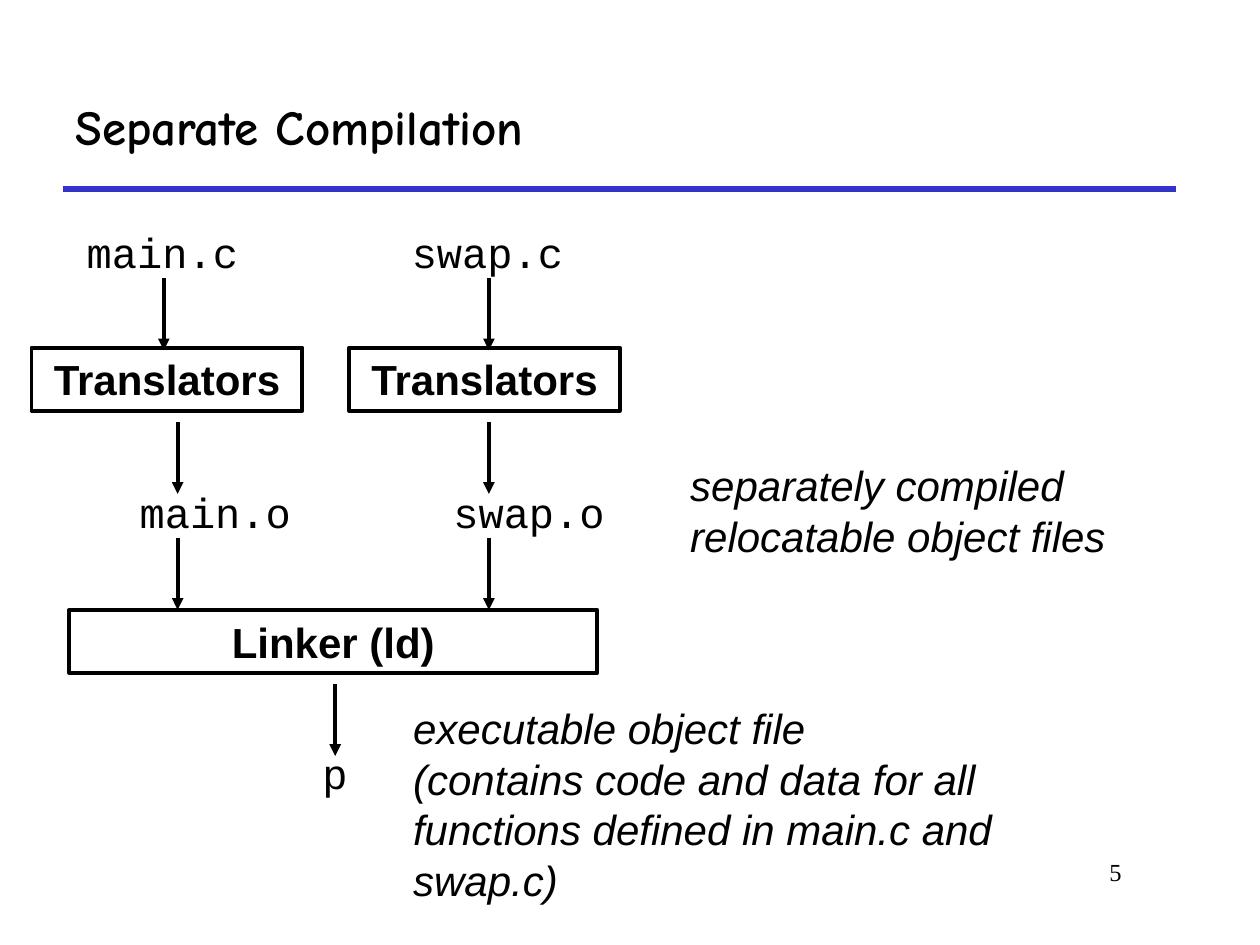
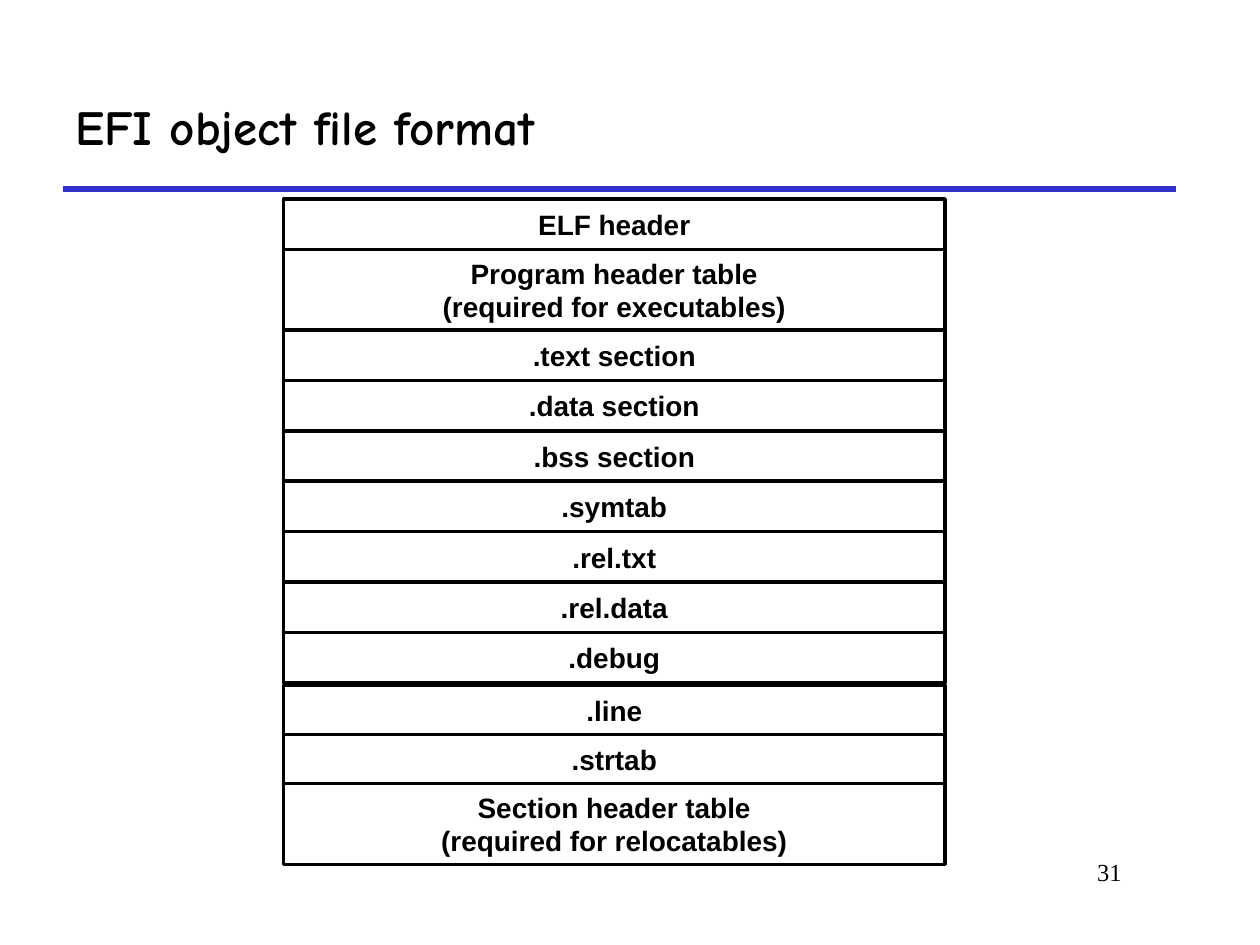
from dataclasses import dataclass
from typing import NamedTuple

from lxml.etree import SubElement
from pptx import Presentation
from pptx.dml.color import RGBColor
from pptx.enum.shapes import MSO_CONNECTOR, MSO_SHAPE
from pptx.enum.text import MSO_ANCHOR, PP_ALIGN
from pptx.oxml.ns import qn
from pptx.presentation import Presentation as PresentationType
from pptx.shapes.autoshape import Shape
from pptx.slide import Slide
from pptx.util import Inches, Pt

COLORS = {"ink": "000000", "paper": "FFFFFF", "rule": "3333CC"}
ARROW_LENGTH = 0.57
LABEL_HEIGHT = 0.5
TABLE_LEFT, TABLE_TOP, TABLE_WIDTH = 2.25, 1.58, 5.25


class Frame(NamedTuple):
    left: float
    top: float
    width: float
    height: float


@dataclass(frozen=True)
class TextStyle:
    font: str
    size: float
    bold: bool = False
    italic: bool = False
    align: PP_ALIGN = PP_ALIGN.LEFT
    anchor: MSO_ANCHOR = MSO_ANCHOR.TOP
    wrap: bool = True


@dataclass(frozen=True)
class CompileColumn:
    name: str
    source_left: float
    translator_left: float
    object_left: float
    source_arrow: float
    object_arrow: float


@dataclass(frozen=True)
class Section:
    lines: tuple[str, ...]
    height: float = 0.4
    gap_before: float = 0


TITLE = TextStyle("Comic Neue", 28, bold=True, anchor=MSO_ANCHOR.MIDDLE)
PAGE_NUMBER = TextStyle("Times New Roman", 14, align=PP_ALIGN.RIGHT)
FILE_NAME = TextStyle("Courier New", 24, wrap=False)
TOOL = TextStyle("Arial", 24, bold=True, align=PP_ALIGN.CENTER)
NOTE = TextStyle("Arial", 24, italic=True)
SECTION = TextStyle("Arial", 16, bold=True, align=PP_ALIGN.CENTER,
                    anchor=MSO_ANCHOR.MIDDLE, wrap=False)

COLUMNS = (
    CompileColumn("main", 0.59, 0.25, 1.01, 1.3, 1.41),
    CompileColumn("swap", 3.17, 2.77, 3.5, 3.88, 3.88),
)

SECTIONS = (
    Section(("ELF header",)),
    Section(("Program header table", "(required for executables)"), 0.64),
    Section((".text section",)),
    Section((".data section",)),
    Section((".bss section",)),
    Section((".symtab",)),
    Section((".rel.txt",)),
    Section((".rel.data",)),
    Section((".debug",)),
    Section((".line",), 0.39, gap_before=0.02),
    Section((".strtab",), 0.39),
    Section(("Section header table", "(required for relocatables)"), 0.64),
)


def color(name: str) -> RGBColor:
    return RGBColor.from_string(COLORS[name])


def write(shape: Shape, lines: tuple[str, ...], style: TextStyle) -> None:
    text_frame = shape.text_frame
    text_frame.word_wrap = style.wrap
    text_frame.vertical_anchor = style.anchor
    text_frame.text = "\n".join(lines)
    for paragraph in text_frame.paragraphs:
        paragraph.alignment = style.align
        paragraph.font.name = style.font
        paragraph.font.size = Pt(style.size)
        paragraph.font.bold = style.bold
        paragraph.font.italic = style.italic
        paragraph.font.color.rgb = color("ink")


def add_text(slide: Slide, frame: Frame, style: TextStyle, *lines: str) -> None:
    write(slide.shapes.add_textbox(*map(Inches, frame)), lines, style)


def add_box(slide: Slide, frame: Frame, style: TextStyle, line_width: float, *lines: str) -> None:
    box = slide.shapes.add_shape(MSO_SHAPE.RECTANGLE, *map(Inches, frame))
    box.shadow.inherit = False
    box.fill.solid()
    box.fill.fore_color.rgb = color("paper")
    box.line.color.rgb = color("ink")
    box.line.width = Pt(line_width)
    write(box, lines, style)


def add_line(slide: Slide, start: tuple[float, float], end: tuple[float, float],
             color_name: str, width: float, arrow: bool = False) -> None:
    connector = slide.shapes.add_connector(
        MSO_CONNECTOR.STRAIGHT, *map(Inches, start + end))
    connector.line.color.rgb = color(color_name)
    connector.line.width = Pt(width)
    if arrow:
        SubElement(connector.line._get_or_add_ln(), qn("a:tailEnd"), type="triangle")
    SubElement(connector._element.spPr, qn("a:effectLst"))


def add_down_arrow(slide: Slide, x: float, top: float) -> None:
    add_line(slide, (x, top), (x, top + ARROW_LENGTH), "ink", 2.25, arrow=True)


def add_file_name(slide: Slide, left: float, top: float, width: float, name: str) -> None:
    add_text(slide, Frame(left, top, width, LABEL_HEIGHT), FILE_NAME, name)


def add_tool(slide: Slide, left: float, top: float, width: float, name: str) -> None:
    add_box(slide, Frame(left, top, width, LABEL_HEIGHT), TOOL, 2.25, name)


def add_titled_slide(presentation: PresentationType, title: str, number: int) -> Slide:
    slide = presentation.slides.add_slide(presentation.slide_layouts[6])
    add_line(slide, (0.5, 1.5), (9.33, 1.5), "rule", 3)
    add_text(slide, Frame(0.5, 0.5, 8.83, 1), TITLE, title)
    add_text(slide, Frame(7.58, 6.75, 1.42, 0.5), PAGE_NUMBER, str(number))
    return slide


def add_compilation_slide(presentation: PresentationType) -> None:
    slide = add_titled_slide(presentation, "Separate Compilation", 5)
    add_tool(slide, 0.55, 4.84, 4.19, "Linker (ld)")
    for column in COLUMNS:
        add_file_name(slide, column.source_left, 1.75, 1.4, f"{column.name}.c")
        add_tool(slide, column.translator_left, 2.76, 2.15, "Translators")
        add_file_name(slide, column.object_left, 3.81, 1.4, f"{column.name}.o")
        add_down_arrow(slide, column.source_arrow, 2.21)
        for top in (3.35, 4.27):
            add_down_arrow(slide, column.object_arrow, top)
    add_down_arrow(slide, 2.66, 5.43)
    add_file_name(slide, 2.46, 5.88, 0.4, "p")
    add_text(slide, Frame(5.38, 3.6, 3.87, 0.9), NOTE,
             "separately compiled relocatable object files")
    add_text(slide, Frame(3.18, 5.53, 5.21, 1.7), NOTE,
             "executable object file",
             "(contains code and data for all functions defined in main.c and swap.c)")


def add_format_slide(presentation: PresentationType) -> None:
    slide = add_titled_slide(presentation, "EFI object file format", 31)
    top = TABLE_TOP
    for section in SECTIONS:
        top += section.gap_before
        add_box(slide, Frame(TABLE_LEFT, top, TABLE_WIDTH, section.height),
                SECTION, 2, *section.lines)
        top += section.height


def main() -> None:
    presentation = Presentation()
    presentation.slide_width = Inches(10)
    presentation.slide_height = Inches(7.5)
    add_compilation_slide(presentation)
    add_format_slide(presentation)
    presentation.save("out.pptx")


if __name__ == "__main__":
    main()
